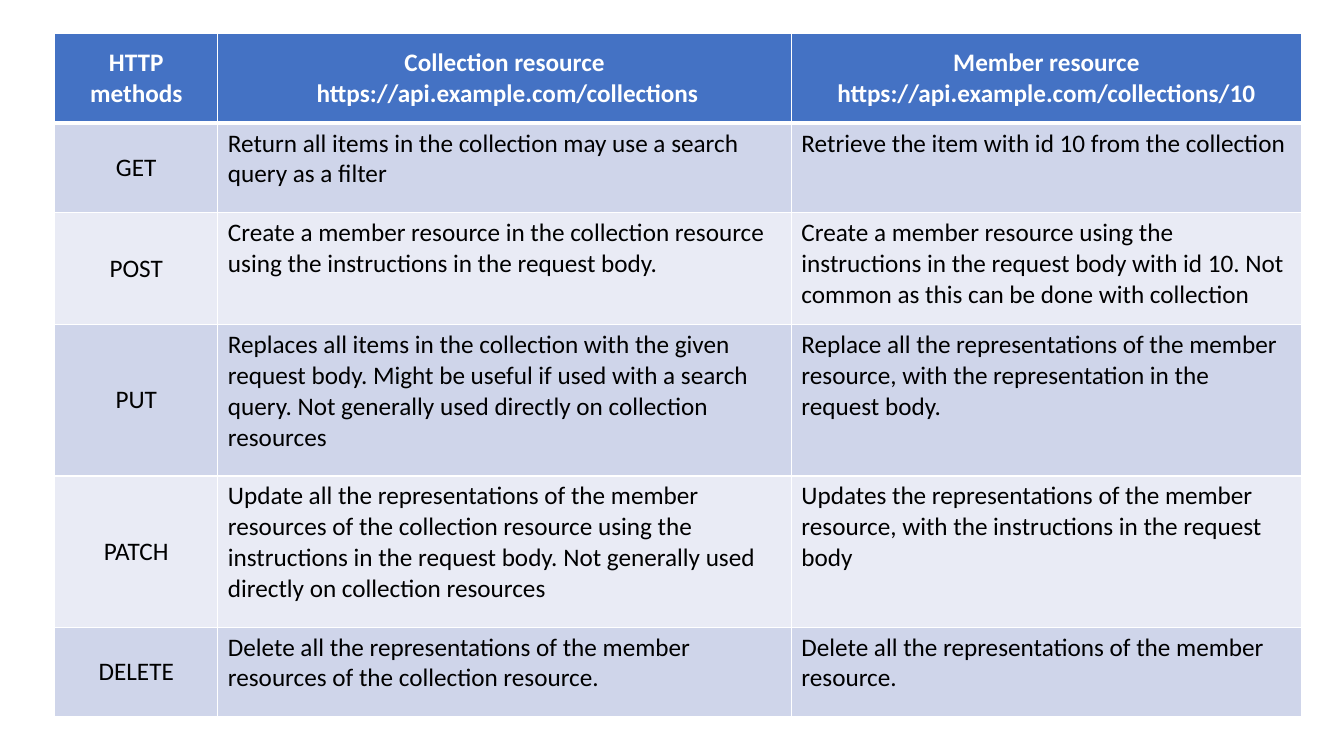
from dataclasses import dataclass

from lxml import etree
from pptx import Presentation
from pptx.dml.color import RGBColor
from pptx.enum import text
from pptx.oxml import ns
from pptx.util import Pt


@dataclass(frozen=True)
class Theme:
    font: str = "Calibri"
    size: int = 18
    header_fill: str = "4472C4"
    header_text: str = "FFFFFF"
    body_text: str = "000000"
    bands: tuple = ("CFD5EA", "E9EBF5")
    border: str = "FFFFFF"


theme = Theme()

COLUMN_WIDTHS = [116.64, 409.68, 364.32]
ROW_HEIGHTS = [64, 64, 80, 108, 108, 64]
ROWS = [
    ("HTTP methods",
     "Collection resource\n https://api.example.com/collections",
     "Member resource https://api.example.com/collections/10"),
    ("GET",
     "Return all items in the collection may use a search query as a filter",
     "Retrieve the item with id 10 from the collection"),
    ("POST",
     "Create a member resource in the collection resource using the "
     "instructions in the request body.",
     "Create a member resource using the instructions in the request body "
     "with id 10. Not common as this can be done with collection"),
    ("PUT",
     "Replaces all items in the collection with the given request body. "
     "Might be useful if used with a search query. Not generally used "
     "directly on collection resources",
     "Replace all the representations of the member resource, with the "
     "representation in the request body."),
    ("PATCH",
     "Update all the representations of the member resources of the "
     "collection resource using the instructions in the request body. "
     "Not generally used directly on collection resources",
     "Updates the representations of the member resource, with the "
     "instructions in the request body"),
    ("DELETE",
     "Delete all the representations of the member resources of the "
     "collection resource.",
     "Delete all the representations of the member resource."),
]


def add_border(cell, side, width):
    """Draw one side (L, R, T or B); call before the cell gets its fill."""
    tc_pr = cell._tc.get_or_add_tcPr()
    line = etree.SubElement(tc_pr, ns.qn(f"a:ln{side}"), w=str(Pt(width)))
    fill = etree.SubElement(line, ns.qn("a:solidFill"))
    etree.SubElement(fill, ns.qn("a:srgbClr"), val=theme.border)


prs = Presentation()
prs.slide_width, prs.slide_height = Pt(960), Pt(540)
s = prs.slides.add_slide(prs.slide_layouts[6])

table = s.shapes.add_table(
    len(ROWS), len(COLUMN_WIDTHS), Pt(39), Pt(24),
    Pt(sum(COLUMN_WIDTHS)), Pt(sum(ROW_HEIGHTS))).table
for column, width in zip(table.columns, COLUMN_WIDTHS):
    column.width = Pt(width)
for row, height in zip(table.rows, ROW_HEIGHTS):
    row.height = Pt(height)

for i, row_texts in enumerate(ROWS):
    header = i == 0
    row_fill = theme.header_fill if header else theme.bands[(i - 1) % 2]
    text_color = theme.header_text if header else theme.body_text
    for j, cell_text in enumerate(row_texts):
        cell = table.cell(i, j)
        centered = header or j == 0
        for side in "LRTB":
            under_header = (i, side) in ((0, "B"), (1, "T"))
            add_border(cell, side, 3 if under_header else 1)
        cell.fill.solid()
        cell.fill.fore_color.rgb = RGBColor.from_string(row_fill)
        cell.vertical_anchor = (
            text.MSO_ANCHOR.MIDDLE if centered else text.MSO_ANCHOR.TOP)

        tf = cell.text_frame
        for n, paragraph_text in enumerate(cell_text.split("\n")):
            p = tf.add_paragraph() if n else tf.paragraphs[0]
            p.alignment = text.PP_ALIGN.CENTER if centered else text.PP_ALIGN.LEFT
            r = p.add_run()
            r.text = paragraph_text
            r.font.name = theme.font
            r.font.size = Pt(theme.size)
            r.font.bold = header
            r.font.color.rgb = RGBColor.from_string(text_color)

prs.save("out.pptx")
